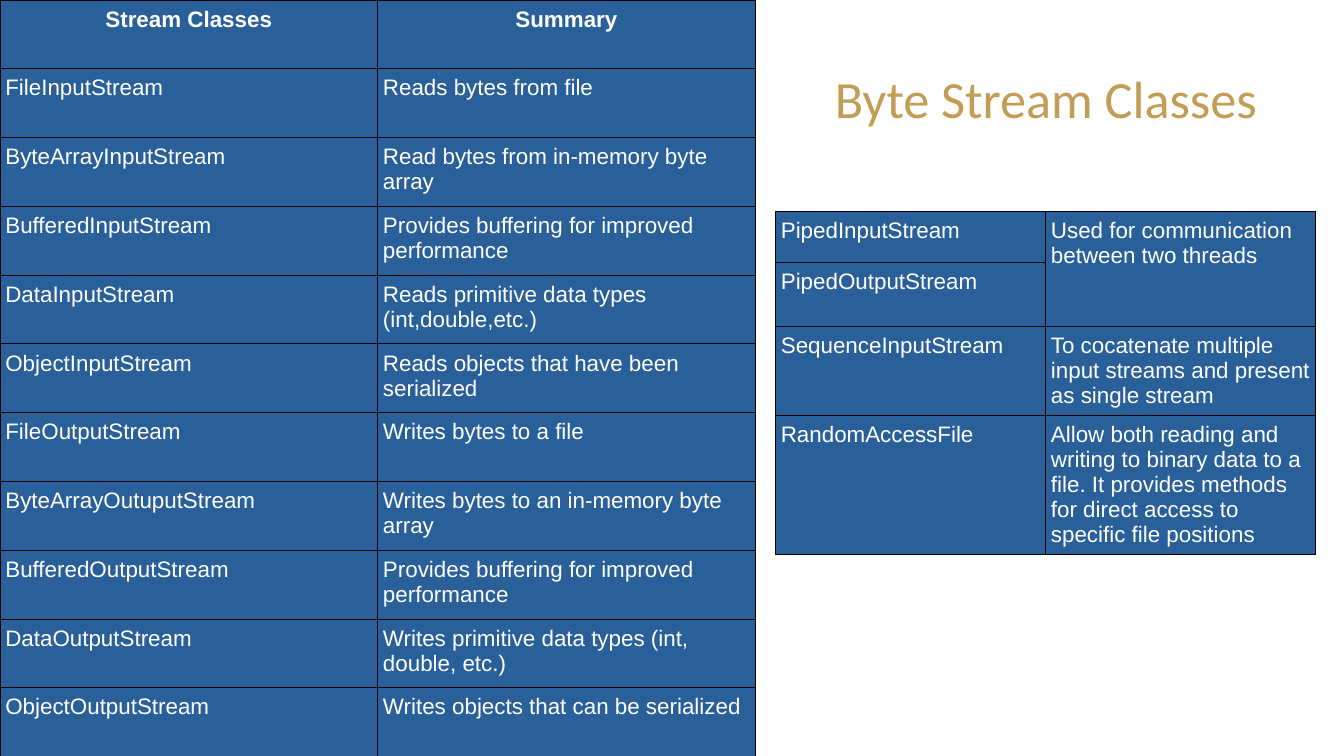
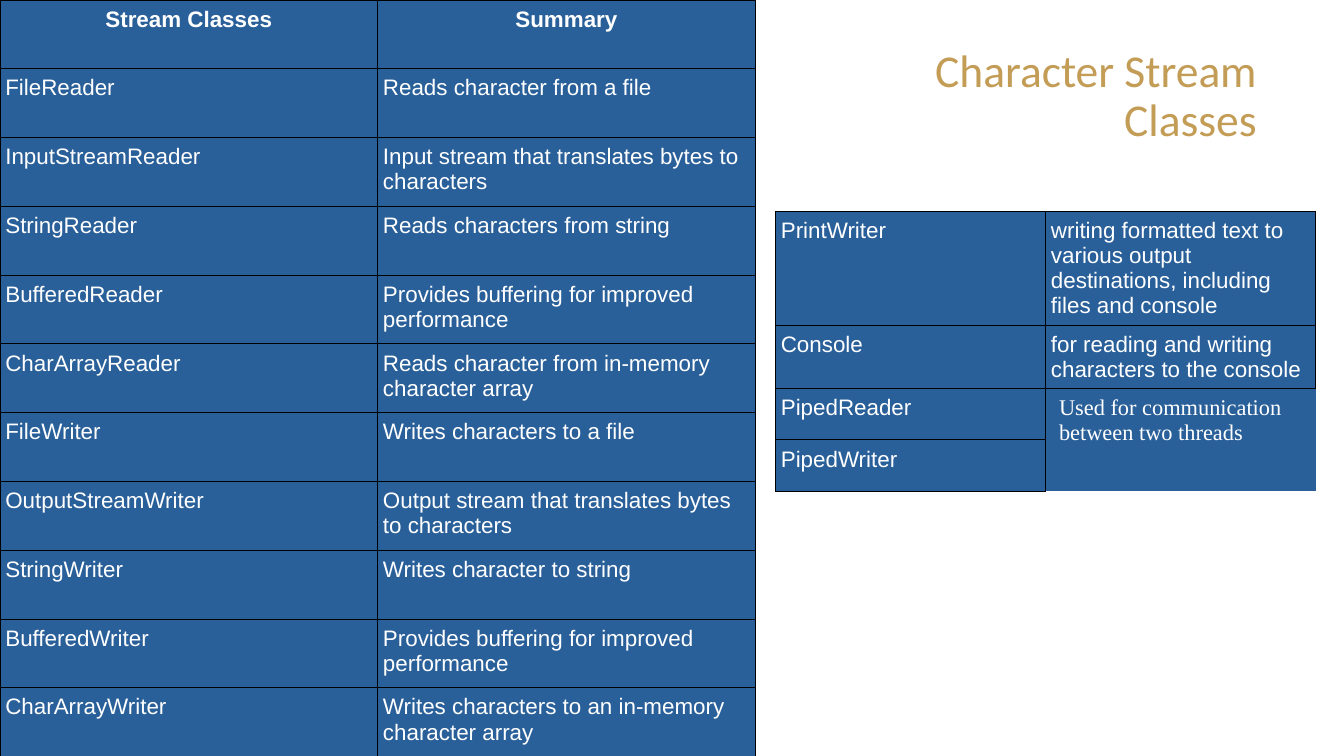
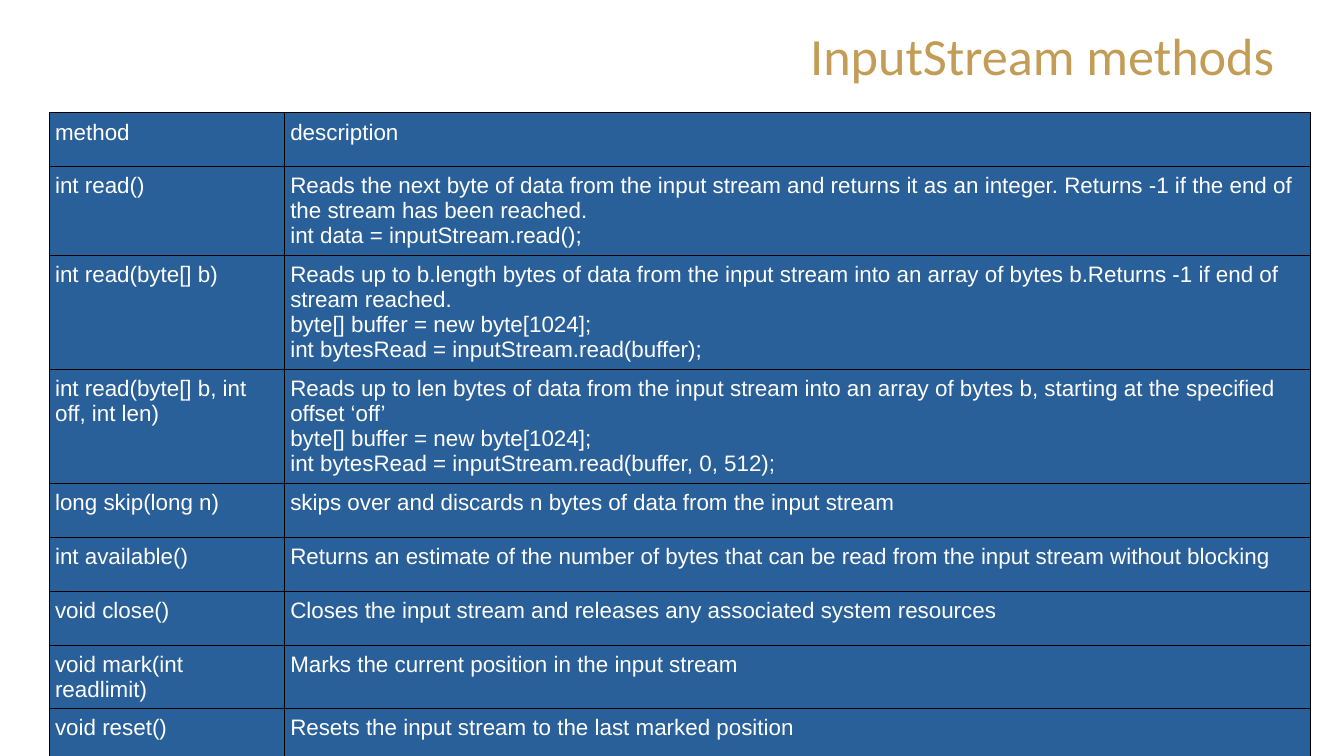
from dataclasses import dataclass

from pptx import Presentation
from pptx import util as u
from pptx.dml.color import RGBColor
from pptx.enum import text
from pptx.oxml import ns
from lxml import etree

TITLE_ONLY = 5


@dataclass(frozen=True)
class Theme:
    gold: str = "C39C55"
    blue: str = "2A6099"
    white: str = "FFFFFF"
    black: str = "000000"
    title_font: str = "Calibri"
    body_font: str = "Arial"
    serif_font: str = "Times New Roman"
    title_size: float = 28
    tight_title_size: float = 24.4
    body_size: float = 12
    border: float = 0.57


@dataclass(frozen=True)
class Cell:
    """Cell content with its departures from the usual table look."""
    content: str
    bold: bool = False
    font: str = ""
    side_margin: float = 0.04
    rows: int = 1
    edges: str = "LRTB"


class Deck:
    def __init__(self, theme):
        self.theme = theme
        self.prs = Presentation()
        self.prs.slide_width = u.Inches(10)
        self.prs.slide_height = u.Inches(5.625)
        self.s = None

    def add_run(self, p, content, font, size, color, bold=False):
        r = p.add_run()
        r.text = content
        r.font.name = font
        r.font.size = u.Pt(size)
        r.font.bold = bold
        r.font.color.rgb = RGBColor.from_string(color)

    def new_slide(self, title, left=6, top=0.31, width=3.45, size=None, spacing=1.0):
        """Start a slide with a right-aligned title."""
        t = self.theme
        self.s = self.prs.slides.add_slide(self.prs.slide_layouts[TITLE_ONLY])
        sp = self.s.shapes.title
        sp.left, sp.top = u.Inches(left), u.Inches(top)
        sp.width, sp.height = u.Inches(width), u.Inches(0.83)
        tf = sp.text_frame
        tf.word_wrap = True
        tf.auto_size = text.MSO_AUTO_SIZE.NONE
        tf.vertical_anchor = text.MSO_ANCHOR.MIDDLE
        p = tf.paragraphs[0]
        p.alignment = text.PP_ALIGN.RIGHT
        p.line_spacing = spacing
        self.add_run(p, title, t.title_font, size or t.title_size, t.gold)

    def draw_edges(self, cell, edges):
        """Line the named sides of a cell and clear the others."""
        tc_pr = cell._tc.get_or_add_tcPr()
        for side in "LRTB":
            ln = etree.SubElement(tc_pr, ns.qn(f"a:ln{side}"),
                                  w=str(u.Pt(self.theme.border)))
            if side in edges:
                fill = etree.SubElement(ln, ns.qn("a:solidFill"))
                etree.SubElement(fill, ns.qn("a:srgbClr"), val=self.theme.black)
            else:
                etree.SubElement(ln, ns.qn("a:noFill"))

    def fill_cell(self, cell, item):
        t = self.theme
        self.draw_edges(cell, item.edges)
        cell.fill.solid()
        cell.fill.fore_color.rgb = RGBColor.from_string(t.blue)
        cell.margin_left = cell.margin_right = u.Inches(item.side_margin)
        cell.margin_top = cell.margin_bottom = u.Inches(0.05)
        tf = cell.text_frame
        for i, line in enumerate(item.content.split("\n")):
            p = tf.paragraphs[0] if i == 0 else tf.add_paragraph()
            p.alignment = text.PP_ALIGN.CENTER if item.bold else text.PP_ALIGN.LEFT
            self.add_run(p, line, item.font or t.body_font, t.body_size, t.white, item.bold)

    def table(self, left, top, widths, heights, rows):
        """Draw rows of strings or Cells; None is covered by the cell above."""
        frame = self.s.shapes.add_table(
            len(rows), len(widths), u.Inches(left), u.Inches(top),
            u.Inches(sum(widths)), u.Inches(sum(heights)))
        tbl = frame.table
        tbl.first_row = tbl.horz_banding = False
        for col, width in zip(tbl.columns, widths):
            col.width = u.Inches(width)
        for row, height in zip(tbl.rows, heights):
            row.height = u.Inches(height)
        for i, row in enumerate(rows):
            for j, item in enumerate(row):
                if item is None:
                    continue
                if isinstance(item, str):
                    item = Cell(item)
                cell = tbl.cell(i, j)
                if item.rows > 1:
                    cell.merge(tbl.cell(i + item.rows - 1, j))
                    for k in range(1, item.rows):
                        self.draw_edges(tbl.cell(i + k, j), item.edges)
                self.fill_cell(cell, item)

    def class_table(self, rows):
        """Full-height table of stream classes on the left."""
        header = (Cell("Stream Classes", bold=True), Cell("Summary", bold=True))
        rows = [header, *rows]
        self.table(0, 0, [2.81] * 2, [5.63 / len(rows)] * len(rows), rows)

    def side_table(self, heights, rows):
        self.table(5.77, 1.57, [2.01] * 2, heights, rows)


BUFFERING = "Provides buffering for improved performance"
THREADS = "Used for communication between two threads"
NEW_BUFFER = "byte[] buffer = new byte[1024];"

BYTE_CLASSES = [
    ("FileInputStream", "Reads bytes from file"),
    ("ByteArrayInputStream", "Read bytes from in-memory byte array"),
    ("BufferedInputStream", BUFFERING),
    ("DataInputStream", "Reads primitive data types (int,double,etc.)"),
    ("ObjectInputStream", "Reads objects that have been serialized"),
    ("FileOutputStream", "Writes bytes to a file"),
    ("ByteArrayOutuputStream", "Writes bytes to an in-memory byte array"),
    ("BufferedOutputStream", BUFFERING),
    ("DataOutputStream", "Writes primitive data types (int, double, etc.)"),
    ("ObjectOutputStream", "Writes objects that can be serialized"),
]
MORE_BYTE_CLASSES = [
    ("PipedInputStream", Cell(THREADS, rows=2)),
    ("PipedOutputStream", None),
    ("SequenceInputStream",
     "To cocatenate multiple input streams and present as single stream"),
    ("RandomAccessFile",
     "Allow both reading and writing to binary data to a file. It provides methods "
     "for direct access to specific file positions"),
]
CHARACTER_CLASSES = [
    ("FileReader", "Reads character from a file"),
    ("InputStreamReader", "Input stream that translates bytes to characters"),
    ("StringReader", "Reads characters from string"),
    ("BufferedReader", BUFFERING),
    ("CharArrayReader", "Reads character from in-memory character array"),
    ("FileWriter", "Writes characters to a file"),
    ("OutputStreamWriter", "Output stream that translates bytes to characters"),
    ("StringWriter", "Writes character to string"),
    ("BufferedWriter", BUFFERING),
    ("CharArrayWriter", "Writes characters to an in-memory character array"),
]
MORE_CHARACTER_CLASSES = [
    ("PrintWriter",
     "writing formatted text to various output destinations, including files and console"),
    ("Console", "for reading and writing characters to the console"),
    ("PipedReader",
     Cell(THREADS, font=Theme.serif_font, side_margin=0.1, rows=2, edges="LT")),
    ("PipedWriter", None),
]
INPUT_METHODS = [
    ("method", "description"),
    ("int read()",
     "Reads the next byte of data from the input stream and returns it as an integer. "
     "Returns -1 if the end of the stream has been reached.\n"
     "int data = inputStream.read();"),
    ("int read(byte[] b)",
     "Reads up to b.length bytes of data from the input stream into an array of bytes "
     f"b.Returns -1 if end of stream reached.\n{NEW_BUFFER}\n"
     "int bytesRead = inputStream.read(buffer);"),
    ("int read(byte[] b, int off, int len)",
     "Reads up to len bytes of data from the input stream into an array of bytes b, "
     f"starting at the specified offset ‘off’\n{NEW_BUFFER}\n"
     "int bytesRead = inputStream.read(buffer, 0, 512);"),
    ("long skip(long n)", "skips over and discards n bytes of data from the input stream"),
    ("int available()",
     "Returns an estimate of the number of bytes that can be read from the input stream "
     "without blocking"),
    ("void close()", "Closes the input stream and releases any associated system resources"),
    ("void mark(int readlimit)", "Marks the current position in the input stream"),
    ("void reset()", "Resets the input stream to the last marked position"),
]


def main():
    theme = Theme()
    deck = Deck(theme)

    deck.new_slide("Byte Stream Classes")
    deck.class_table(BYTE_CLASSES)
    deck.side_table([0.38, 0.48, 0.65, 1.03], MORE_BYTE_CLASSES)

    deck.new_slide("Character Stream Classes", size=theme.tight_title_size, spacing=0.9)
    deck.class_table(CHARACTER_CLASSES)
    deck.side_table([0.85, 0.47, 0.38, 0.38], MORE_CHARACTER_CLASSES)

    deck.new_slide("InputStream methods", left=0.65, top=-0.01, width=8.93)
    deck.table(0.37, 0.84, [1.75, 7.63],
               [0.4, 0.66, 0.85, 0.85, 0.4, 0.4, 0.4, 0.47, 0.4], INPUT_METHODS)

    deck.prs.save("out.pptx")


if __name__ == "__main__":
    main()
